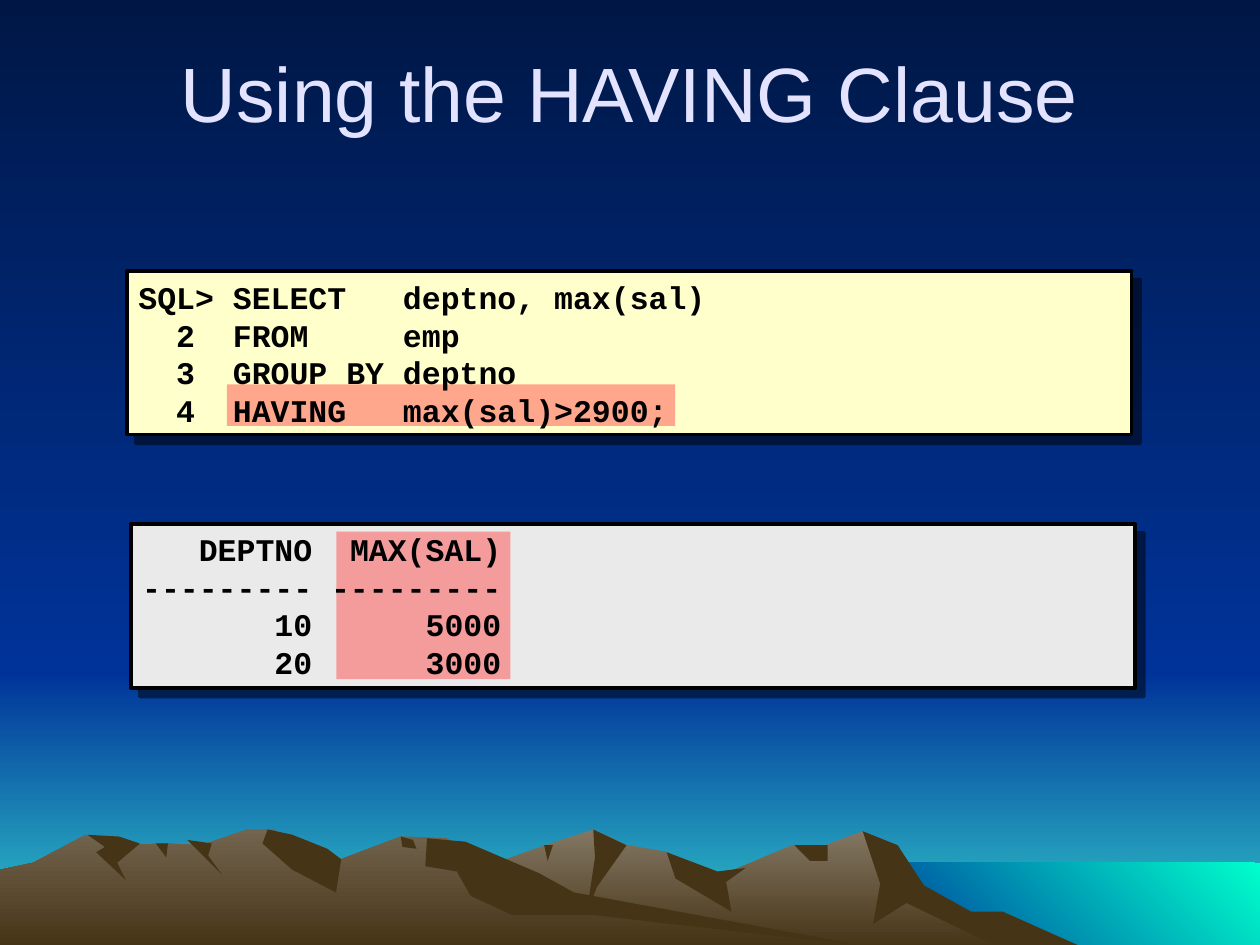
"""Build the slide that explains the SQL HAVING clause."""
from pptx import Presentation
from pptx.dml.color import RGBColor
from pptx.enum.shapes import MSO_SHAPE as Preset
from pptx.enum.text import MSO_ANCHOR as Anchor, PP_ALIGN as Align
from pptx.oxml.ns import qn
from pptx.util import Pt
from lxml.etree import SubElement

NIGHT = RGBColor(0x00, 0x17, 0x46)
BLUE = RGBColor(0x00, 0x33, 0x99)
TEAL = RGBColor(0x33, 0xCC, 0xCC)
AQUA = RGBColor(0x00, 0xFF, 0xCC)
ROCK = RGBColor(0x83, 0x77, 0x63)
EARTH = RGBColor(0x72, 0x64, 0x4E)
BROWN = RGBColor(0x46, 0x34, 0x16)
CREAM = RGBColor(0xFF, 0xFF, 0xCC)
GREY = RGBColor(0xEA, 0xEA, 0xEA)
RED = RGBColor(0xFF, 0x50, 0x50)
LAVENDER = RGBColor(0xE3, 0xE3, 0xFF)
BLACK = RGBColor(0x00, 0x00, 0x00)

CHARACTER = 10.8


def paint(fill, colors, angle=270):
    if len(colors) == 1:
        fill.solid()
        fill.fore_color.rgb = colors[0]
        return
    fill.gradient()
    fill.gradient_angle = angle
    for stop, color in zip(fill.gradient_stops, colors):
        stop.color.rgb = color


def add_shadow(effects, distance):
    shadow = SubElement(effects, qn("a:outerShdw"), dist=str(Pt(distance)), dir="2700000", algn="ctr", rotWithShape="0")
    color = SubElement(shadow, qn("a:srgbClr"), val=str(BLACK))
    SubElement(color, qn("a:alpha"), val="50000")


presentation = Presentation()
presentation.slide_width, presentation.slide_height = Pt(720), Pt(540)
slide = presentation.slides.add_slide(presentation.slide_layouts[6])
paint(slide.background.fill, [NIGHT, BLUE])

scenery = [
    ((0, 384, 720, 156), [BLUE, TEAL], 270),
    ((0, 0, 720, 384), [NIGHT, BLUE], 270),
    ((492, 493, 228, 48), [AQUA, BLUE], 225),
]
for box, colors, angle in scenery:
    shape = slide.shapes.add_shape(Preset.RECTANGLE, *map(Pt, box))
    shape.shadow.inherit = False
    shape.line.fill.background()
    paint(shape.fill, colors, angle)

mountains = [
    ([ROCK, BROWN], [
        (186, 541), (284, 493), (312, 483), (339, 474), (358, 483), (381, 487), (408, 502), (453, 483),
        (472, 483), (493, 475), (520, 503), (591, 541)]),
    ([BROWN], [
        (493, 475), (513, 483), (528, 506), (555, 521), (573, 521), (618, 541), (570, 541), (518, 516),
        (499, 528), (503, 505)]),
    ([BROWN], [(339, 474), (358, 483), (341, 507), (335, 523), (340, 490)]),
    ([BROWN], [(381, 487), (410, 498), (426, 496), (415, 504), (418, 521), (386, 502)]),
    ([BROWN], [(454, 483), (473, 483), (473, 492), (463, 492)]),
    ([BROWN], [(311, 483), (316, 483), (313, 492)]),
    ([EARTH, BROWN], [
        (0, 541), (0, 497), (19, 493), (49, 477), (68, 483), (95, 482), (115, 483), (141, 474),
        (157, 474), (170, 490), (195, 491), (229, 478), (255, 479), (311, 513), (497, 541)]),
    ([BROWN], [(153, 474), (167, 477), (187, 485), (195, 491), (192, 510), (167, 497), (150, 482)]),
    ([BROWN], [
        (244, 479), (266, 481), (308, 499), (328, 510), (497, 541), (340, 523), (293, 523), (269, 512),
        (261, 498), (243, 495)]),
    ([BROWN], [(229, 478), (236, 480), (238, 485), (230, 484)]),
    ([BROWN], [(107, 480), (121, 482), (119, 489), (127, 500)]),
    ([BROWN], [(89, 482), (96, 482), (95, 490)]),
    ([BROWN], [(50, 477), (68, 478), (80, 482), (67, 493), (72, 503), (55, 487), (60, 484)]),
]
for colors, outline in mountains:
    builder = slide.shapes.build_freeform(*outline[0], scale=Pt(1))
    builder.add_line_segments(outline[1:], close=True)
    shape = builder.convert_to_shape()
    shape.shadow.inherit = False
    shape.line.fill.background()
    paint(shape.fill, colors)

for left, top, color in [(72.72, 154.8, CREAM), (74.88, 299.52, GREY)]:
    panel = slide.shapes.add_shape(Preset.RECTANGLE, Pt(left), Pt(top), Pt(573.84), Pt(93.6))
    paint(panel.fill, [color])
    panel.line.color.rgb = BLACK
    panel.line.width = Pt(2)
    panel.shadow.inherit = False
    add_shadow(panel._element.spPr.find(qn("a:effectLst")), 7.1)

title = slide.shapes.add_textbox(Pt(36), Pt(18), Pt(648), Pt(90))
title.text_frame.word_wrap = True
title.text_frame.margin_top = Pt(8)
paragraph = title.text_frame.paragraphs[0]
paragraph.alignment = Align.CENTER
run = paragraph.add_run()
run.text = "Using the HAVING Clause"
for name, value in {"name": "Arial", "size": Pt(44)}.items():
    setattr(run.font, name, value)
run.font.color.rgb = LAVENDER
effects = SubElement(run._r.rPr, qn("a:effectLst"))
run._r.rPr.insert(1, effects)
add_shadow(effects, 2.8)

for box in [(129.6, 219.6, 256.32, 23.76), (192.24, 303.84, 99.36, 84.24)]:
    highlight = slide.shapes.add_shape(Preset.RECTANGLE, *map(Pt, box))
    highlight.shadow.inherit = False
    highlight.line.fill.background()
    paint(highlight.fill, [RED])
    SubElement(highlight._element.spPr.find(qn("a:solidFill"))[0], qn("a:alpha"), val="50000")

listings = [
    (72, 154.08, "l", [2, 5, 14], [
        "SQL>\tSELECT\tdeptno, max(sal)",
        "\t2\tFROM\temp",
        "\t3\tGROUP BY\tdeptno",
        "\t4\tHAVING\tmax(sal)>2900;"]),
    (74.16, 298.08, "r", [9, 19], [
        "\tDEPTNO\tMAX(SAL)",
        "\t---------\t---------",
        "\t10\t5000",
        "\t20\t3000"]),
]
code_format = {"name": "Courier New", "size": Pt(18), "bold": True}
for left, top, tab_alignment, columns, lines in listings:
    listing = slide.shapes.add_textbox(Pt(left), Pt(top), Pt(576), Pt(95.76))
    listing.text_frame.word_wrap = True
    listing.text_frame.vertical_anchor = Anchor.MIDDLE
    listing.text_frame.text = "\n".join(lines)
    for paragraph in listing.text_frame.paragraphs:
        tabs = SubElement(paragraph._p.get_or_add_pPr(), qn("a:tabLst"))
        for column in columns:
            SubElement(tabs, qn("a:tab"), pos=str(Pt(column * CHARACTER)), algn=tab_alignment)
        font = paragraph.runs[0].font
        for name, value in code_format.items():
            setattr(font, name, value)
        font.color.rgb = BLACK

presentation.save("out.pptx")
